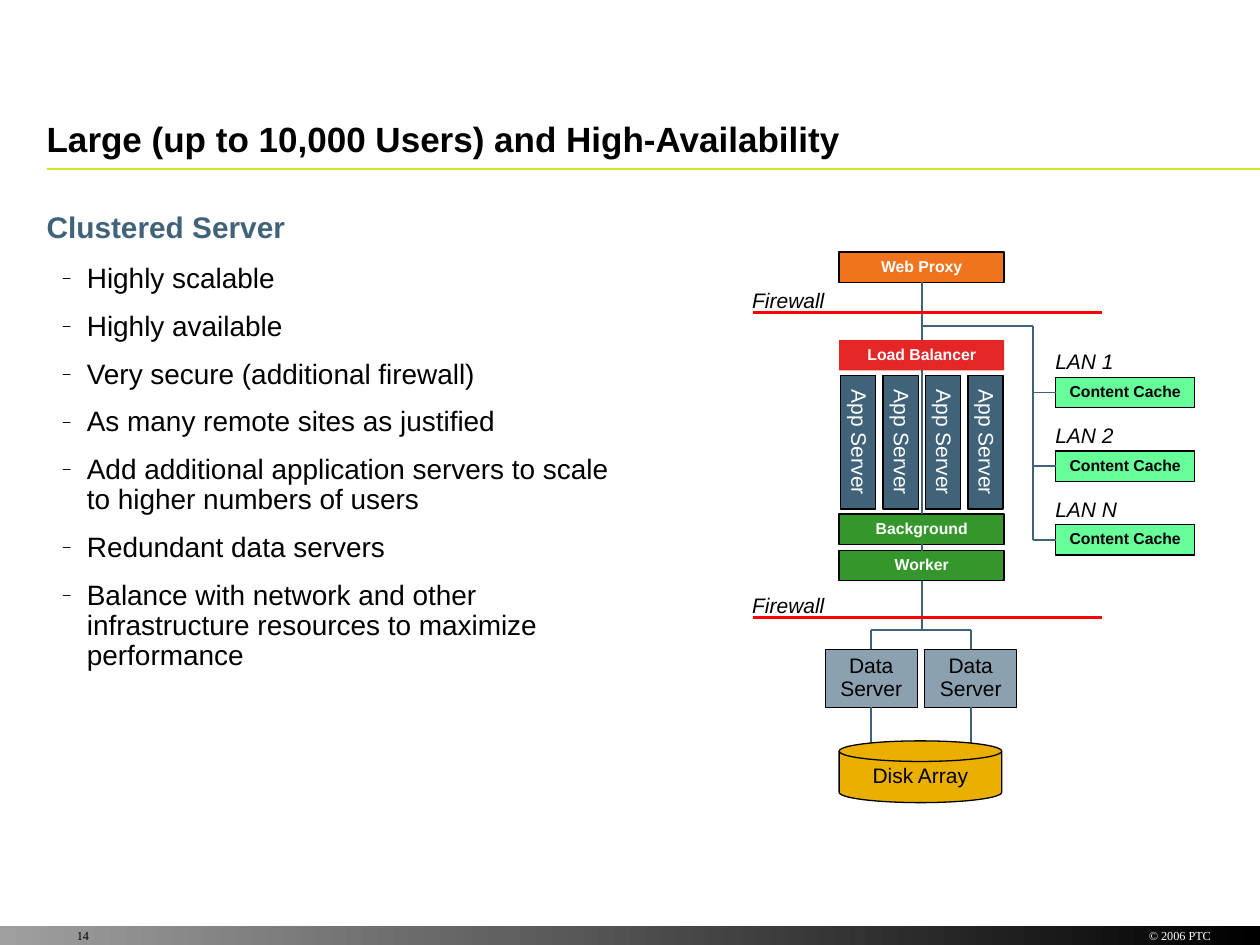
from dataclasses import dataclass

from lxml import etree
from pptx import Presentation
from pptx.dml.color import RGBColor
from pptx.enum.shapes import MSO_CONNECTOR, MSO_SHAPE
from pptx.enum.text import MSO_ANCHOR, PP_ALIGN
from pptx.oxml.ns import qn
from pptx.util import Inches, Pt

RECTANGLE = MSO_SHAPE.RECTANGLE
DISK = MSO_SHAPE.FLOWCHART_MAGNETIC_DISK
STRAIGHT = MSO_CONNECTOR.STRAIGHT
LEFT, CENTER, RIGHT = PP_ALIGN.LEFT, PP_ALIGN.CENTER, PP_ALIGN.RIGHT
TOP, MIDDLE, BOTTOM = MSO_ANCHOR.TOP, MSO_ANCHOR.MIDDLE, MSO_ANCHOR.BOTTOM
TOP_SITE, LEFT_SITE, BOTTOM_SITE = 0, 1, 2
SLIDE_WIDTH, SLIDE_HEIGHT = Inches(10), Inches(7.5)
COLUMNS, ROWS = 100, 75


@dataclass(frozen=True)
class Theme:
    """Colours, fonts and type sizes of the slide."""
    black: str = "000000"
    white: str = "FFFFFF"
    gray: str = "9F9F9F"
    slate: str = "40637A"
    pale_slate: str = "8BA1AF"
    lime: str = "CDE62D"
    mint: str = "66FF99"
    red: str = "E42726"
    firewall: str = "FF0000"
    green: str = "35962B"
    orange: str = "EF741D"
    gold: str = "EBAF00"
    font: str = "Arial"
    footer_font: str = "Times New Roman"
    title_size: float = 20
    heading_size: float = 17
    bullet_size: float = 16
    label_size: float = 12
    small_size: float = 9
    footer_size: float = 7


THEME = Theme()


@dataclass(frozen=True)
class Area:
    """A rectangle in grid columns and rows."""
    left: float
    top: float
    width: float
    height: float


@dataclass(frozen=True)
class Node:
    """A labelled box of the diagram."""
    text: str
    area: Area
    fill: str
    color: str = THEME.white
    size: float = THEME.small_size
    bold: bool = True
    outline: str | None = THEME.black
    rotation: float = 0
    kind: int = RECTANGLE


BULLETS = [
    "Highly scalable",
    "Highly available",
    "Very secure (additional firewall)",
    "As many remote sites as justified",
    "Add additional application servers to scale to higher numbers of users",
    "Redundant data servers",
    "Balance with network and other infrastructure resources to maximize performance",
]
STACK_LEFT, STACK_WIDTH, BAR_HEIGHT = 66.6, 13.1, 2.4
AXIS = STACK_LEFT + STACK_WIDTH / 2
BUS_COLUMN, BRANCH_ROW, JUNCTION_ROW = 82, 25.9, 50
CACHE_TOP, CACHE_PITCH = 29.95, 5.85
DATA_LEFT, DATA_PITCH, DATA_WIDTH = 65.5, 7.9, 7.3


def across(columns: float) -> int:
    """Turn grid columns into a length."""
    return round(SLIDE_WIDTH * columns / COLUMNS)


def down(rows: float) -> int:
    """Turn grid rows into a length."""
    return round(SLIDE_HEIGHT * rows / ROWS)


def place(area: Area) -> tuple[int, int, int, int]:
    """Give the position and size of an area."""
    return across(area.left), down(area.top), across(area.width), down(area.height)


def set_frame(frame, anchor=TOP) -> None:
    """Clear the insets of a text frame and anchor its text."""
    frame.margin_left = frame.margin_right = frame.margin_top = frame.margin_bottom = 0
    frame.word_wrap = True
    frame.vertical_anchor = anchor


def write(para, text: str, *, size: float, color: str = THEME.black, font: str = THEME.font,
          bold: bool = False, italic: bool = False, align=LEFT, spacing: float = 0.9,
          before: float = 0, after: float = 0) -> None:
    """Write formatted text into a paragraph."""
    para.alignment, para.line_spacing = align, spacing
    para.space_before, para.space_after = Pt(before), Pt(after)
    span = para.add_run()
    span.text = text
    span.font.name, span.font.size = font, Pt(size)
    span.font.bold, span.font.italic = bold, italic
    span.font.color.rgb = RGBColor.from_string(color)


def add_dash(para) -> None:
    """Give a paragraph a small hanging dash."""
    properties = para._p.get_or_add_pPr()
    properties.set("marL", str(Inches(0.32)))
    properties.set("indent", str(Inches(-0.19)))
    color = etree.SubElement(properties, qn("a:buClr"))
    etree.SubElement(color, qn("a:srgbClr"), val=THEME.black)
    etree.SubElement(properties, qn("a:buSzPct"), val="50000")
    etree.SubElement(properties, qn("a:buFont"), typeface=THEME.font)
    etree.SubElement(properties, qn("a:buChar"), char="–")


def add_label(page, text: str, area: Area, **style) -> None:
    """Add a one-line text box."""
    frame = page.shapes.add_textbox(*place(area)).text_frame
    set_frame(frame)
    write(frame.paragraphs[0], text, **style)


def add_node(page, node: Node):
    """Draw a node and return its shape."""
    box = page.shapes.add_shape(node.kind, *place(node.area))
    box.shadow.inherit = False
    box.rotation = node.rotation
    box.fill.solid()
    box.fill.fore_color.rgb = RGBColor.from_string(node.fill)
    if node.outline:
        box.line.color.rgb = RGBColor.from_string(node.outline)
        box.line.width = Pt(0.75)
    else:
        box.line.fill.background()
    set_frame(box.text_frame, MIDDLE)
    write(box.text_frame.paragraphs[0], node.text, size=node.size, color=node.color,
          bold=node.bold, align=CENTER)
    return box


def add_line(page, start=(0, 0), end=(0, 0), *, color: str = THEME.slate, width: float = 1,
             source=None, target=None) -> None:
    """Draw a line between grid points or joined (shape, site) pairs."""
    line = page.shapes.add_connector(STRAIGHT, across(start[0]), down(start[1]),
                                     across(end[0]), down(end[1]))
    line.line.color.rgb = RGBColor.from_string(color)
    line.line.width = Pt(width)
    etree.SubElement(line._element.spPr, qn("a:effectLst"))
    if source:
        line.begin_connect(*source)
    if target:
        line.end_connect(*target)


def add_title_and_list(page) -> None:
    """Fill the title, its rule and the bulleted text."""
    title = page.shapes.title
    title.left, title.top, title.width, title.height = place(Area(3.7, 8.5, 92.4, 4.2))
    set_frame(title.text_frame, BOTTOM)
    write(title.text_frame.paragraphs[0], "Large (up to 10,000 Users) and High-Availability",
          size=THEME.title_size, bold=True, spacing=1.0)
    add_line(page, (3.7, 13.4), (COLUMNS, 13.4), color=THEME.lime)
    frame = page.shapes.add_textbox(*place(Area(3.7, 16.9, 45.3, 55))).text_frame
    set_frame(frame)
    write(frame.paragraphs[0], "Clustered Server", size=THEME.heading_size,
          color=THEME.slate, bold=True, after=5.2)
    for text in BULLETS:
        para = frame.add_paragraph()
        add_dash(para)
        write(para, text, size=THEME.bullet_size, before=6, after=4)


def add_server_stack(page):
    """Draw the central stack and return its last bar."""
    bars = [("Web Proxy", 20, THEME.orange, THEME.black),
            ("Load Balancer", 27, THEME.red, None),
            ("Background", 40.8, THEME.green, THEME.black),
            ("Worker", 43.7, THEME.green, THEME.black)]
    boxes = [add_node(page, Node(text, Area(STACK_LEFT, top, STACK_WIDTH, BAR_HEIGHT),
                                 fill, outline=outline))
             for text, top, fill, outline in bars]
    for upper, lower in zip(boxes, boxes[1:]):
        add_line(page, source=(upper, BOTTOM_SITE), target=(lower, TOP_SITE))
    for index in range(4):
        add_node(page, Node("App Server", Area(62.8 + 3.37 * index, 33.7, 10.6, 2.8),
                            THEME.slate, size=THEME.label_size, bold=False, rotation=90))
    return boxes[-1]


def add_caches(page) -> None:
    """Draw the remote caches and the bus that feeds them."""
    for index, name in enumerate(["LAN 1", "LAN 2", "LAN N"]):
        top = CACHE_TOP + CACHE_PITCH * index
        cache = add_node(page, Node("Content Cache", Area(83.8, top, 11, BAR_HEIGHT),
                                    THEME.mint, THEME.black))
        middle = top + BAR_HEIGHT / 2
        add_line(page, (BUS_COLUMN, middle), target=(cache, LEFT_SITE))
        add_label(page, name, Area(83.75, top - 2.05, 6.5, 1.8),
                  size=THEME.label_size, italic=True)
    add_line(page, (AXIS, BRANCH_ROW), (BUS_COLUMN, BRANCH_ROW))
    add_line(page, (BUS_COLUMN, BRANCH_ROW), (BUS_COLUMN, middle))


def add_storage(page, worker) -> None:
    """Draw the data servers and the disk array below the worker."""
    add_line(page, end=(AXIS, JUNCTION_ROW), source=(worker, BOTTOM_SITE))
    centers = [DATA_LEFT + DATA_WIDTH / 2 + DATA_PITCH * index for index in range(2)]
    add_line(page, (centers[0], JUNCTION_ROW), (centers[1], JUNCTION_ROW))
    for center in centers:
        server = add_node(page, Node(
            "Data Server", Area(center - DATA_WIDTH / 2, 51.55, DATA_WIDTH, 4.6),
            THEME.pale_slate, THEME.black, THEME.label_size, bold=False))
        add_line(page, (center, JUNCTION_ROW), target=(server, TOP_SITE))
        add_line(page, end=(center, 60), source=(server, BOTTOM_SITE))
    add_node(page, Node("Disk Array", Area(66.6, 58.8, 12.9, 4.9), THEME.gold, THEME.black,
                        THEME.label_size, bold=False, kind=DISK))


def add_firewalls(page) -> None:
    """Draw the two labelled firewall lines."""
    for row in (24.8, 49):
        add_line(page, (59.8, row), (87.45, row), color=THEME.firewall, width=1.5)
        add_label(page, "Firewall", Area(59.7, row - 1.75, 7, 1.8),
                  size=THEME.label_size, italic=True)


def add_footer(page) -> None:
    """Draw the gradient strip with the page number and copyright."""
    strip = page.shapes.add_shape(RECTANGLE, *place(Area(0, 73.5, COLUMNS, 1.5)))
    strip.shadow.inherit = False
    strip.line.fill.background()
    strip.fill.gradient()
    strip.fill.gradient_angle = 180
    for stop, color in zip(strip.fill.gradient_stops, (THEME.black, THEME.gray)):
        stop.color.rgb = RGBColor.from_string(color)
    style = {"size": THEME.footer_size, "font": THEME.footer_font, "spacing": 1.0}
    add_label(page, "14", Area(6.1, 73.7, 2.5, 1.2), **style)
    add_label(page, "© 2006 PTC", Area(89.7, 73.7, 6.4, 1.2), color=THEME.white,
              align=RIGHT, **style)


def main() -> None:
    """Build and save the slide."""
    deck = Presentation()
    deck.slide_width, deck.slide_height = SLIDE_WIDTH, SLIDE_HEIGHT
    page = deck.slides.add_slide(deck.slide_layouts[5])
    add_footer(page)
    add_title_and_list(page)
    worker = add_server_stack(page)
    add_caches(page)
    add_storage(page, worker)
    add_firewalls(page)
    deck.save("out.pptx")


if __name__ == "__main__":
    main()
